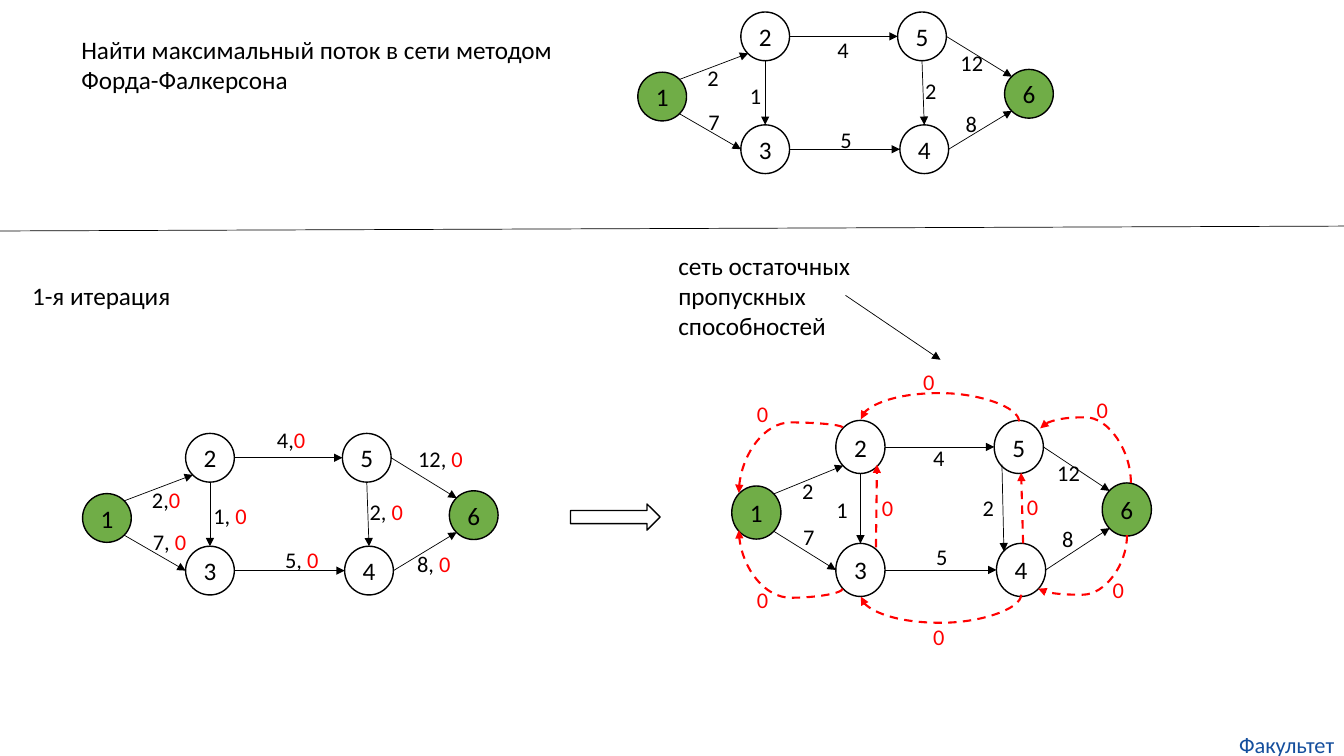
from lxml.etree import SubElement
from pptx import Presentation
from pptx.dml.color import RGBColor
from pptx.enum.dml import MSO_LINE
from pptx.enum.shapes import MSO_CONNECTOR, MSO_SHAPE
from pptx.enum.text import MSO_ANCHOR, MSO_AUTO_SIZE, PP_ALIGN
from pptx.oxml.ns import qn
from pptx.util import Pt

BLACK = RGBColor(0x00, 0x00, 0x00)
RED = RGBColor(0xFF, 0x00, 0x00)
GREEN = RGBColor(0x70, 0xAD, 0x47)
BLUE = RGBColor(0x14, 0x4E, 0x9D)

NODE_SIZE = 34.8
# Node corners, measured from the left of node 1 and the top of node 2
NODES = {1: (0, 43), 2: (73.6, 0), 3: (73.6, 80.6),
         4: (187.2, 80.6), 5: (185.6, 0), 6: (262, 41)}
TERMINALS = (1, 6)
# Points on a node's rim as fractions of its box
RIM = {"T": (0.5, 0), "B": (0.5, 1), "L": (0, 0.5), "R": (1, 0.5),
       "TL": (0.15, 0.15), "TR": (0.85, 0.15),
       "BL": (0.15, 0.85), "BR": (0.85, 0.85)}
EDGES = [(1, "TR", 2, "BL"), (1, "BR", 3, "L"), (2, "B", 3, "T"),
         (2, "R", 5, "L"), (3, "R", 4, "L"), (4, "R", 6, "BL"),
         (5, "R", 6, "TL")]
MIDDLE_EDGE = (5, "B", 4, "T")

CAPACITIES = [(528.5, 55.4, "1"), (499, 73.4, "7"), (498.2, 42.5, "2"),
              (653.8, 51.8, "2"), (591.1, 22.3, "4"), (593.3, 86.4, "5"),
              (679, 31.7, "12"), (682.6, 74.9, "8")]
FLOWS = [(145.4, 355, "1, "), (102.2, 373.7, "7, "), (101.5, 343.4, "2,"),
         (257, 352.1, "2, "), (190.8, 301, "4,"), (196.6, 386.6, "5, "),
         (291.6, 314.6, "12, "), (290.9, 389.5, "8, ")]
RESIDUALS = [(590.4, 350.6, "1"), (566.6, 370.1, "7"), (565.9, 337, "2"),
             (694.8, 349.2, "2"), (659.5, 313.9, "4"), (661.7, 384.5, "5"),
             (748.1, 324.7, "12"), (751.7, 371.5, "8")]
REVERSE_ZEROS = [(533.5, 282.2), (652.3, 259.2), (776.2, 279.4),
                 (622.8, 349.2), (726.5, 348.5), (659.5, 441.4),
                 (787.7, 408.2), (533.5, 415.4)]
# Start, end and the height the curve swings out to
REVERSE_CURVES = [((727.9, 301), (614.9, 299.5), 280.8),
                  ((807.8, 344.9), (743, 306), 298.1),
                  ((805, 382.3), (741.6, 420.5), 424.8),
                  ((729.4, 424.8), (614.9, 426.2), 445),
                  ((601.9, 420.5), (527.8, 378.7), 427),
                  ((601.9, 305.3), (527.8, 352.1), 301.7)]
REVERSE_LINES = [((625.7, 391), (626.4, 331.9)),
                 ((730.8, 388.1), (729.4, 337.7))]


class FlowSlide:
    def __init__(self, slide, font="Calibri"):
        self.shapes = slide.shapes
        self.font = font

    def style_run(self, run, size, color):
        run.font.name = self.font
        run.font.size = Pt(size)
        run.font.color.rgb = color

    def text(self, x, y, width, height, parts, size=18, wrap=True):
        """Add a text box; parts are (wording, colour) pairs of one line."""
        box = self.shapes.add_textbox(Pt(x), Pt(y), Pt(width), Pt(height))
        frame = box.text_frame
        frame.word_wrap = wrap
        frame.auto_size = MSO_AUTO_SIZE.SHAPE_TO_FIT_TEXT
        for wording, color in parts:
            run = frame.paragraphs[0].add_run()
            run.text = wording
            self.style_run(run, size, color)
        return frame

    def edge_label(self, x, y, *parts):
        wording = "".join(part for part, _ in parts)
        width = 14.4 + sum(8.1 if c.isdigit() else 3.8 for c in wording)
        self.text(x, y, width, 26.6, parts, size=16, wrap=False)

    def outline(self, kind, x, y, width, height, fill=None):
        shape = self.shapes.add_shape(kind, Pt(x), Pt(y), Pt(width), Pt(height))
        shape.shadow.inherit = False
        shape.line.color.rgb = BLACK
        shape.line.width = Pt(1)
        if fill is None:
            shape.fill.background()
        else:
            shape.fill.solid()
            shape.fill.fore_color.rgb = fill
        return shape

    def node(self, number, x, y, width, height):
        fill = GREEN if number in TERMINALS else None
        frame = self.outline(MSO_SHAPE.OVAL, x, y, width, height, fill).text_frame
        frame.margin_left = frame.margin_right = 0
        frame.margin_top = frame.margin_bottom = 0
        frame.vertical_anchor = MSO_ANCHOR.MIDDLE
        frame.text = str(number)
        frame.paragraphs[0].alignment = PP_ALIGN.CENTER
        self.style_run(frame.paragraphs[0].runs[0], 18, BLACK)

    def line(self, start, end, reverse=False, arrow=True,
             kind=MSO_CONNECTOR.STRAIGHT):
        connector = self.shapes.add_connector(
            kind, *(Pt(value) for value in (*start, *end)))
        connector.line.color.rgb = RED if reverse else BLACK
        connector.line.width = Pt(1.5 if reverse else 0.5)
        if reverse:
            connector.line.dash_style = MSO_LINE.DASH
        properties = connector.element.spPr
        if arrow:
            SubElement(properties.find(qn("a:ln")), qn("a:tailEnd"),
                       type="triangle")
        SubElement(properties, qn("a:effectLst"))
        return connector

    def reverse_curve(self, start, end, swing):
        """Draw a dashed arc to the left that leaves start vertically."""
        (x1, y1), (x2, y2) = start, end
        width, height = abs(y2 - y1), abs(x2 - x1)
        left, top = (x1 + x2 - width) / 2, (y1 + y2 - height) / 2
        curve = self.line((left, top), (left + width, top + height),
                          reverse=True, kind=MSO_CONNECTOR.CURVE)
        upward = swing < y1
        properties = curve.element.spPr
        frame = properties.find(qn("a:xfrm"))
        frame.set("rot", str((270 if upward else 90) * 60000))
        if upward:
            frame.set("flipV", "1")
        if upward != (y2 < y1):
            frame.set("flipH", "1")
        bend = round((swing - y1) / (y2 - y1) * 100000)
        SubElement(properties.find(qn("a:prstGeom")).find(qn("a:avLst")),
                   qn("a:gd"), name="adj1", fmla=f"val {bend}")

    def network(self, left, top, edges, stretch_x=1, stretch_y=1):
        width, height = NODE_SIZE * stretch_x, NODE_SIZE * stretch_y
        corners = {number: (left + x * stretch_x, top + y * stretch_y)
                   for number, (x, y) in NODES.items()}

        def rim_point(number, side):
            (x, y), (across, down) = corners[number], RIM[side]
            return x + across * width, y + down * height

        for number, corner in corners.items():
            self.node(number, *corner, width, height)
        for source, leaving, target, entering in edges:
            self.line(rim_point(source, leaving), rim_point(target, entering))


def main():
    deck = Presentation()
    deck.slide_width, deck.slide_height = Pt(960), Pt(540)
    page = FlowSlide(deck.slides.add_slide(deck.slide_layouts[6]))

    page.text(51, 21, 394, 51, [
        ("Найти максимальный поток в сети методом Форда-Фалкерсона", BLACK)])
    page.network(455.6, 8.6, EDGES + [MIDDLE_EDGE])
    for x, y, capacity in CAPACITIES:
        page.edge_label(x, y, (capacity, BLACK))
    page.line((0, 165), (960, 161.5), arrow=False)

    page.text(15.8, 196.5, 116.6, 29, [("1-я итерация", BLACK)], wrap=False)
    page.network(59, 309.6, EDGES + [MIDDLE_EDGE])
    for x, y, capacity in FLOWS:
        page.edge_label(x, y, (capacity, BLACK), ("0", RED))
    page.outline(MSO_SHAPE.RIGHT_ARROW, 407.5, 360, 64, 18.7)

    page.text(477.4, 175, 154.8, 72.7, [
        ("сеть остаточных пропускных способностей", BLACK)])
    page.line((604, 211), (671.8, 257))
    page.network(522.7, 300.3, EDGES, stretch_x=1.01, stretch_y=1.09)
    page.line((715.7, 331.9), (717.1, 393.8))
    for x, y, capacity in RESIDUALS:
        page.edge_label(x, y, (capacity, BLACK))
    for start, end, swing in REVERSE_CURVES:
        page.reverse_curve(start, end, swing)
    for start, end in REVERSE_LINES:
        page.line(start, end, reverse=True)
    for x, y in REVERSE_ZEROS:
        page.edge_label(x, y, ("0", RED))

    footer = page.text(878.4, 522, 81.4, 19.4, [("Факультет", BLUE)], size=16)
    footer.margin_left = footer.margin_right = 0
    footer.margin_top = footer.margin_bottom = 0
    footer.paragraphs[0].alignment = PP_ALIGN.CENTER
    deck.save("out.pptx")


if __name__ == "__main__":
    main()
